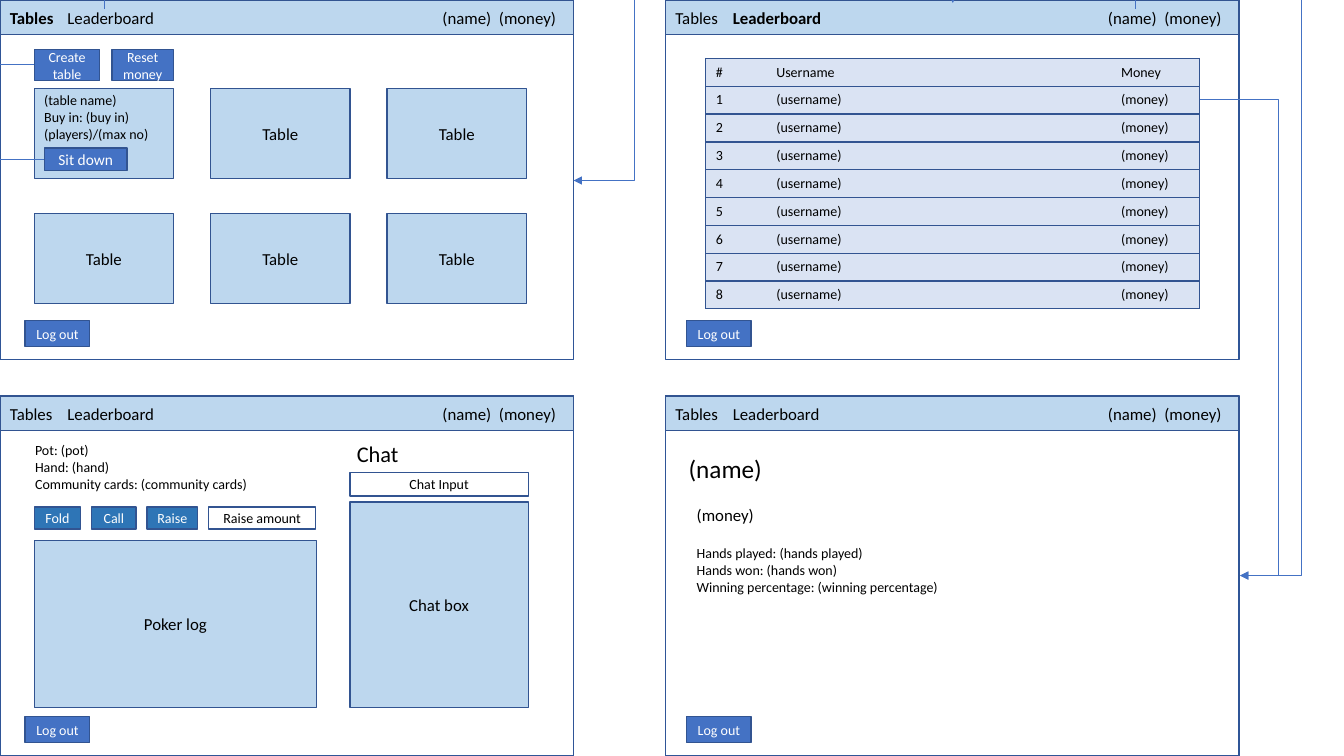
from dataclasses import dataclass

from lxml import etree
from pptx import Presentation
from pptx import util as u
from pptx.dml.color import RGBColor
from pptx.enum import shapes, text
from pptx.oxml import ns

COLORS = {
    "white": "FFFFFF", "black": "000000", "sky": "BDD7EE", "lavender": "DAE3F3",
    "button": "4472C4", "action": "2E75B6", "edge": "325491", "frame": "2F5597",
}
SCREEN_W, SCREEN_H, BAR_H = 5.69, 3.57, 0.34
NAVIGATION = "Tables\tLeaderboard\t(name)\t(money)"
NAVIGATION_STOPS = (0.57, 4.29, 4.85)


@dataclass
class Screen:
    left: float
    top: float
    logout_offset: float
    active: str = ""


@dataclass
class Box:
    left: float
    top: float
    width: float
    height: float
    label: str = ""
    fill: str = "sky"
    size: float = 12
    color: str = "black"
    edge: str = "edge"


@dataclass
class Link:
    start: tuple[float, float]
    end: tuple[float, float]
    bend: float | None = None
    arrow: bool = False


def rgb(name: str) -> RGBColor:
    return RGBColor.from_string(COLORS[name])


def child(parent, tag: str, **attributes: str):
    return etree.SubElement(parent, ns.qn(tag), attributes)


def write(frame, content: str, *, size: float = 12, color: str = "black", bold: str = "",
          align=text.PP_ALIGN.LEFT, anchor=text.MSO_ANCHOR.TOP, side: float = 0.1,
          top: float = 0.05, wrap: bool = True) -> None:
    frame.word_wrap = wrap
    frame.auto_size = text.MSO_AUTO_SIZE.NONE
    frame.vertical_anchor = anchor
    frame.margin_left = frame.margin_right = u.Inches(side)
    frame.margin_top, frame.margin_bottom = u.Inches(top), 0
    for index, line in enumerate(content.split("\n")):
        paragraph = frame.add_paragraph() if index else frame.paragraphs[0]
        paragraph.alignment = align
        paragraph.space_before = u.Pt(0)
        for part in line.partition(bold) if bold else (line,):
            if part:
                run = paragraph.add_run()
                run.text = part
                run.font.name = "Calibri"
                run.font.size = u.Pt(size)
                run.font.bold = bool(bold) and part == bold
                run.font.color.rgb = rgb(color)


def draw_box(slide, box: Box):
    shape = slide.shapes.add_shape(shapes.MSO_SHAPE.RECTANGLE, *map(
        u.Inches, (box.left, box.top, box.width, box.height)))
    shape.shadow.inherit = False
    shape.fill.solid()
    shape.fill.fore_color.rgb = rgb(box.fill)
    shape.line.color.rgb = rgb(box.edge)
    shape.line.width = u.Pt(1)
    if box.label:
        write(shape.text_frame, box.label, size=box.size, color=box.color, side=0.05, top=0,
              align=text.PP_ALIGN.CENTER, anchor=text.MSO_ANCHOR.MIDDLE)
    return shape


def draw_screen(slide, screen: Screen) -> None:
    draw_box(slide, Box(screen.left, screen.top, SCREEN_W, SCREEN_H, fill="white", edge="frame"))
    bar = draw_box(slide, Box(screen.left, screen.top, SCREEN_W, BAR_H))
    write(bar.text_frame, NAVIGATION, bold=screen.active, top=0.02, anchor=text.MSO_ANCHOR.MIDDLE)
    stops = child(bar.text_frame.paragraphs[0]._p.get_or_add_pPr(), "a:tabLst")
    for stop in NAVIGATION_STOPS:
        child(stops, "a:tab", pos=str(int(u.Inches(stop))), algn="l")
    draw_box(slide, Box(screen.left + screen.logout_offset, screen.top + 3.18, 0.64, 0.26,
                        "Log out", "button", 10, "white"))


def draw_text(slide, left: float, top: float, width: float, height: float,
              content: str, **style) -> None:
    area = slide.shapes.add_textbox(*map(u.Inches, (left, top, width, height)))
    write(area.text_frame, content, **style)


def fill_placeholder(slide, holder, bounds: tuple[float, ...], content: str, **style):
    holder.left, holder.top, holder.width, holder.height = map(u.Inches, bounds)
    write(holder.text_frame, content, **style)
    for paragraph in holder.text_frame.paragraphs:
        properties = paragraph._p.get_or_add_pPr()
        properties.set("marL", "0")
        properties.set("indent", "0")
        child(properties, "a:buNone")
    slide.shapes.element.append(holder.element)
    return holder.text_frame.paragraphs


def draw_leaderboard(slide) -> None:
    entries = [("#", "Username", "Money")]
    entries += [(str(rank), "(username)", "(money)") for rank in range(1, 9)]
    row_height = 0.276
    board = slide.shapes.add_table(len(entries), 3, *map(
        u.Inches, (7, 0.58, 4.9, row_height * len(entries)))).table
    board.first_row = board.horz_banding = False
    for column, width in zip(board.columns, (0.6, 3.42, 0.88)):
        column.width = u.Inches(width)
    for row, entry in enumerate(entries):
        board.rows[row].height = u.Inches(row_height)
        for column, value in enumerate(entry):
            cell = board.cell(row, column)
            write_cell(cell, value)
            visible = {"a:lnL": column == 0, "a:lnR": column == 2, "a:lnT": True, "a:lnB": True}
            for tag, shown in visible.items():
                border = child(cell._tc.get_or_add_tcPr(), tag, w=str(int(u.Pt(1))))
                if shown:
                    child(child(border, "a:solidFill"), "a:srgbClr", val=COLORS["edge"])
                else:
                    child(border, "a:noFill")
            cell.fill.solid()
            cell.fill.fore_color.rgb = rgb("lavender")


def write_cell(cell, value: str) -> None:
    write(cell.text_frame, value, size=10)
    cell.vertical_anchor = text.MSO_ANCHOR.MIDDLE
    cell.margin_left = cell.margin_right = u.Inches(0.1)
    cell.margin_top = cell.margin_bottom = u.Inches(0.02)


def draw_link(slide, link: Link) -> None:
    kind = shapes.MSO_CONNECTOR.STRAIGHT if link.bend is None else shapes.MSO_CONNECTOR.ELBOW
    connector = slide.shapes.add_connector(kind, *map(u.Inches, (*link.start, *link.end)))
    connector.line.color.rgb = rgb("button")
    connector.line.width = u.Pt(0.5)
    properties = connector.element.spPr
    if link.bend is not None:
        adjustments = properties.find(ns.qn("a:prstGeom")).get_or_add_avLst()
        child(adjustments, "a:gd", name="adj1", fmla=f"val {round(link.bend * 100000)}")
    if link.arrow:
        child(connector.line._get_or_add_ln(), "a:tailEnd", type="triangle")
    child(properties, "a:effectLst")


SCREENS = [
    Screen(0, 0, 0.25, "Tables"), Screen(6.6, 0, 0.21, "Leaderboard"),
    Screen(0, 3.93, 0.25), Screen(6.6, 3.93, 0.21),
]
CARDS = [Box(0.34 + 1.75 * column, 0.88 + 1.24 * row, 1.38, 0.89, "Table" if row or column else "")
         for row in range(2) for column in range(3)]
CONTROLS = [
    Box(0.34, 0.49, 0.65, 0.31, "Create table", "button", 10, "white"),
    Box(1.11, 0.49, 0.61, 0.31, "Reset money", "button", 10, "white"),
    Box(0.44, 1.47, 0.82, 0.22, "Sit down", "button", 11, "white"),
    Box(0.34, 5.36, 2.8, 1.66, "Poker log"),
    Box(3.47, 4.98, 1.77, 2.04, "Chat box"),
    Box(0.34, 5.03, 0.46, 0.22, "Fold", "action", 10, "white"),
    Box(0.91, 5.03, 0.44, 0.22, "Call", "action", 10, "white"),
    Box(1.46, 5.03, 0.5, 0.22, "Raise", "action", 10, "white"),
    Box(2.07, 5.03, 1.06, 0.22, "Raise amount", "white", 10),
    Box(3.47, 4.69, 1.77, 0.23, "Chat Input", "white", 10),
]
LINKS = [
    Link((0.44, 1.58), (0, 1.58)), Link((0.34, 0.64), (0, 0.64)),
    Link((1.04, 0.09), (1.04, 0)), Link((11.26, 0.09), (11.26, 0)),
    Link((9.45, 0), (9.45, 0.03), arrow=True),
    Link((6.29, 0), (5.69, 1.79), bend=0, arrow=True),
    Link((12.91, 0), (12.3, 5.71), bend=0, arrow=True),
    Link((11.9, 0.99), (12.3, 5.71), bend=1.94, arrow=True),
]


def main() -> None:
    deck = Presentation()
    deck.slide_width, deck.slide_height = u.Inches(13.33), u.Inches(7.5)
    slide = deck.slides.add_slide(deck.slide_layouts[1])
    for screen in SCREENS:
        draw_screen(slide, screen)
    for box in CARDS + CONTROLS:
        draw_box(slide, box)
    draw_text(slide, 0.34, 0.86, 1.38, 0.6, "(table name)\nBuy in: (buy in)\n(players)/(max no)", size=10)
    draw_text(slide, 0.25, 4.33, 2.8, 0.61,
              "Pot: (pot)\nHand: (hand)\nCommunity cards: (community cards)", size=10)
    draw_text(slide, 3.44, 4.32, 0.62, 0.37, "Chat", size=16, wrap=False)
    draw_leaderboard(slide)
    fill_placeholder(slide, slide.shapes.title, (6.73, 4.45, 0.94, 0.4), "(name)", size=18, wrap=False)
    money, played, *_ = fill_placeholder(
        slide, slide.placeholders[1], (6.81, 4.96, 2.64, 1.01),
        "(money)\nHands played: (hands played)\nHands won: (hands won)\n"
        "Winning percentage: (winning percentage)", size=10)
    money.runs[0].font.size = u.Pt(12)
    played.space_before = u.Pt(14)
    for link in LINKS:
        draw_link(slide, link)
    deck.save("out.pptx")


if __name__ == "__main__":
    main()
